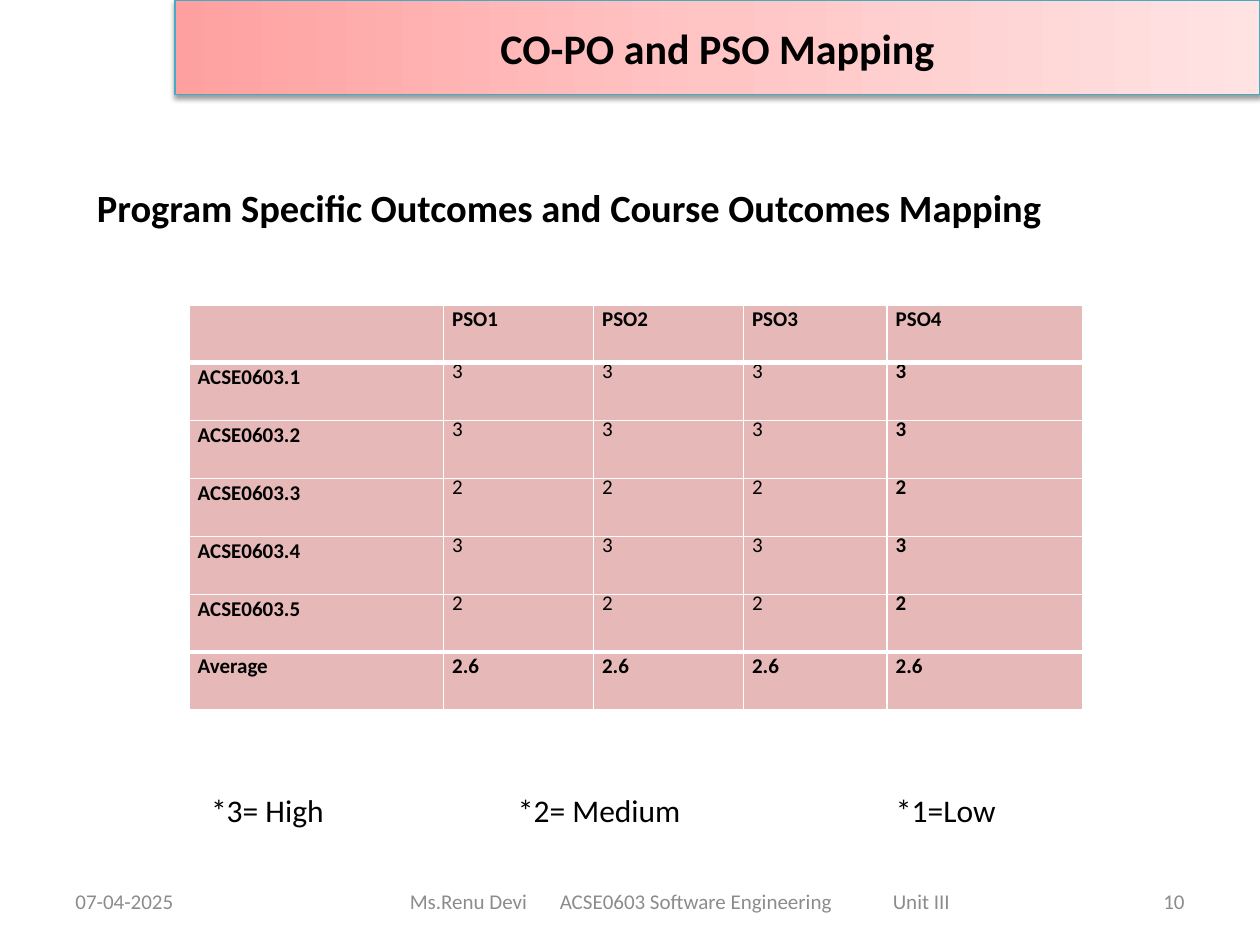
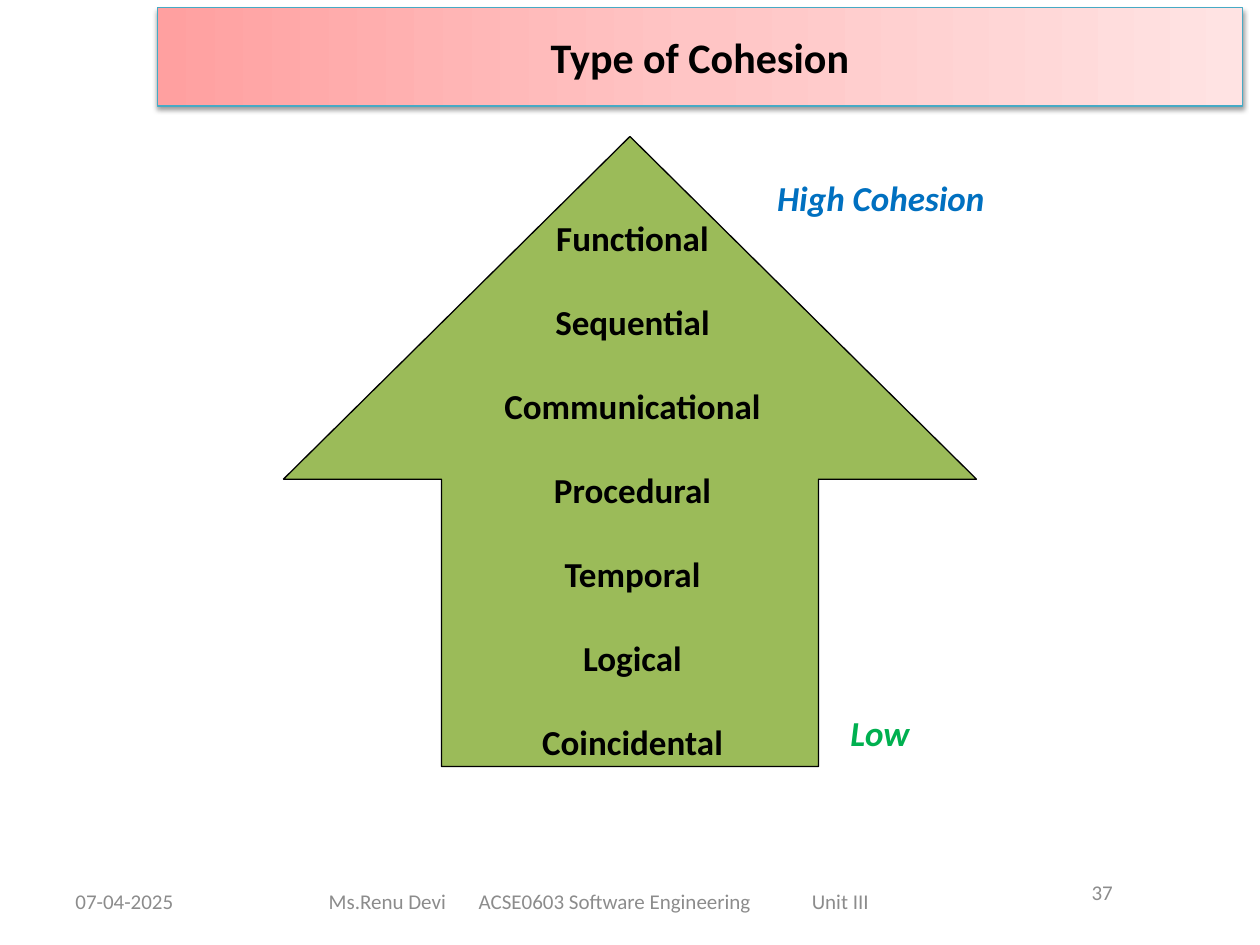
"""Build the outcome mapping and cohesion slides of a software engineering course."""
from lxml.etree import SubElement
from pptx import Presentation
from pptx.dml.color import RGBColor
from pptx.enum.shapes import MSO_SHAPE as Shape
from pptx.enum.text import MSO_ANCHOR as Anchor, MSO_AUTO_SIZE as AutoSize, PP_ALIGN as Align
from pptx.oxml import parse_xml
from pptx.oxml.ns import nsdecls, qn
from pptx.util import Pt

FONT = "Calibri"
COLORS = {
    "text": "000000", "footer": "8C8C8C", "band_line": "46AAC5",
    "cell": "E6B9B8", "grid": "FFFFFF", "arrow": "9BBB59",
    "high": "0070C0", "low": "00B050",
}
BAND_STOPS = [(0, "FFA0A0"), (50, "FFC5C5"), (100, "FFE3E3")]

DATE = "07-04-2025"
COURSE = ["Ms.Renu Devi", "ACSE0603 Software Engineering", "Unit III"]
COURSE_TABS = [85.7, 276]

HEADING = "Program Specific Outcomes and Course Outcomes Mapping"
OUTCOMES = ["", "PSO1", "PSO2", "PSO3", "PSO4"]
LEVELS = [("ACSE0603.1", "3"), ("ACSE0603.2", "3"), ("ACSE0603.3", "2"),
          ("ACSE0603.4", "3"), ("ACSE0603.5", "2"), ("Average", "2.6")]
COLUMN_WIDTHS = [145.4, 85.7, 85.7, 82.1, 111.6]
ROW_HEIGHT = 33.1
LEGEND = ["*3= High", "*2= Medium", "*1=Low"]
LEGEND_TABS = [175.4, 391.4]

COHESION_TYPES = ["Functional", "Sequential", "Communicational", "Procedural",
                  "Temporal", "Logical", "Coincidental"]
COHESION_ENDS = [("High Cohesion", "high", (437, 97.2, 134, 31.7)),
                 ("Low", "low", (478.8, 403.2, 49, 31.7))]


def rgb(name):
    return RGBColor.from_string(COLORS[name])


def place(part, box):
    part.left, part.top, part.width, part.height = map(Pt, box)


def style(paragraph, size, color="text", bold=False, italic=False, align=Align.LEFT):
    paragraph.alignment = align
    for run in paragraph.runs:
        font = run.font
        font.name, font.size, font.bold, font.italic = FONT, Pt(size), bold, italic
        font.color.rgb = rgb(color)


def set_tabs(paragraph, stops):
    tab_list = SubElement(paragraph._p.get_or_add_pPr(), qn("a:tabLst"))
    for stop in stops:
        SubElement(tab_list, qn("a:tab"), pos=str(Pt(stop)), algn="l")


def add_label(slide, text, box, size, tabs=(), anchor=Anchor.MIDDLE, wrap=True, **look):
    label = slide.shapes.add_textbox(*map(Pt, box))
    frame = label.text_frame
    frame.text = text
    frame.word_wrap, frame.vertical_anchor = wrap, anchor
    if tabs:
        set_tabs(frame.paragraphs[0], tabs)
    style(frame.paragraphs[0], size, **look)
    return label


def fill_body(slide, lines, box, size, gap=0, anchor=Anchor.TOP, wrap=True, align=Align.LEFT):
    body = slide.placeholders[1]
    place(body, box)
    frame = body.text_frame
    frame.text = "\n".join(lines)
    frame.auto_size, frame.word_wrap, frame.vertical_anchor = AutoSize.NONE, wrap, anchor
    for index, paragraph in enumerate(frame.paragraphs):
        paragraph.space_before = Pt(gap if index else 0)
        properties = paragraph._p.get_or_add_pPr()
        properties.set("marL", "0")
        properties.set("indent", "0")
        SubElement(properties, qn("a:buNone"))
        style(paragraph, size, bold=True, align=align)
    return body


def add_title_band(slide, text, box):
    band = slide.shapes.title
    place(band, box)
    stops = "".join(f'<a:gs pos="{at * 1000}"><a:srgbClr val="{color}"/></a:gs>'
                    for at, color in BAND_STOPS)
    properties = band._element.spPr
    properties.append(parse_xml(
        f'<a:gradFill {nsdecls("a")} rotWithShape="1"><a:gsLst>{stops}</a:gsLst>'
        '<a:lin ang="0" scaled="0"/></a:gradFill>'))
    band.line.color.rgb = rgb("band_line")
    band.line.width = Pt(0.75)
    properties.append(parse_xml(
        f'<a:effectLst {nsdecls("a")}><a:outerShdw blurRad="{Pt(3.1)}" dist="{Pt(1.6)}" '
        'dir="5400000" rotWithShape="0"><a:srgbClr val="000000"><a:alpha val="38000"/>'
        '</a:srgbClr></a:outerShdw></a:effectLst>'))
    frame = band.text_frame
    frame.text = text
    frame.auto_size, frame.vertical_anchor = AutoSize.NONE, Anchor.MIDDLE
    style(frame.paragraphs[0], 24, bold=True, align=Align.CENTER)


def add_footer(slide, number, course_left, number_box, number_align):
    add_label(slide, DATE, (36, 500.4, 168, 28.8), 12, color="footer")
    add_label(slide, "\t".join(COURSE), (course_left, 500.4, 396, 28.8), 12,
              tabs=COURSE_TABS, color="footer")
    add_label(slide, number, number_box, 12, color="footer", align=number_align)


def start_slide(deck, title, band_box):
    slide = deck.slides.add_slide(deck.slide_layouts[1])
    add_title_band(slide, title, band_box)
    return slide


def set_borders(cell, widths):
    properties = cell._tc.get_or_add_tcPr()
    for side, width in zip("LRTB", widths):
        border = SubElement(properties, qn(f"a:ln{side}"), w=str(Pt(width)))
        paint = SubElement(border, qn("a:solidFill"))
        SubElement(paint, qn("a:srgbClr"), val=COLORS["grid"])


def add_mapping(slide):
    rows = [OUTCOMES] + [[name] + [level] * 4 for name, level in LEVELS]
    last = len(rows) - 1
    mapping = slide.shapes.add_table(
        len(rows), len(OUTCOMES), Pt(108), Pt(174.2),
        Pt(sum(COLUMN_WIDTHS)), Pt(ROW_HEIGHT * len(rows))).table
    mapping.horz_banding = False
    for column, width in zip(mapping.columns, COLUMN_WIDTHS):
        column.width = Pt(width)
    for r, row in enumerate(rows):
        mapping.rows[r].height = Pt(ROW_HEIGHT)
        for c, text in enumerate(row):
            cell = mapping.cell(r, c)
            cell.text = text
            cell.margin_left = Pt(5)
            cell.margin_right = cell.margin_top = cell.margin_bottom = 0
            set_borders(cell, (1, 1, 3 if r in (1, last) else 1,
                               3 if r in (0, last - 1) else 1))
            cell.fill.solid()
            cell.fill.fore_color.rgb = rgb("cell")
            is_level = 0 < r < last and c > 0
            paragraph = cell.text_frame.paragraphs[0]
            paragraph.line_spacing = Pt(12.5) if is_level else 1.07
            style(paragraph, 12, bold=not is_level or c == 4)


def build_mapping_slide(deck):
    slide = start_slide(deck, "CO-PO and PSO Mapping", (100, 0, 620, 54))
    heading = fill_body(slide, [HEADING], (33.8, 101.5, 613.4, 30.2), 22, anchor=Anchor.MIDDLE)
    heading.text_frame.margin_left = Pt(21.6)
    heading.text_frame.margin_bottom = 0
    add_mapping(slide)
    legend = add_label(slide, "\t".join(LEGEND), (72, 448.6, 684 - 72, 28.8), 18,
                       tabs=LEGEND_TABS)
    legend.text_frame.margin_left = Pt(48.6)
    add_footer(slide, "10", 227.1, (516, 500.4, 168, 28.8), Align.RIGHT)


def build_cohesion_slide(deck):
    slide = start_slide(deck, "Type of Cohesion", (90, 4.3, 620, 56.2))
    arrow = slide.shapes.add_shape(Shape.UP_ARROW, Pt(162), Pt(78), Pt(396), Pt(360))
    arrow.adjustments[0] = arrow.adjustments[1] = 0.544
    arrow.shadow.inherit = False
    arrow.fill.solid()
    arrow.fill.fore_color.rgb = rgb("arrow")
    arrow.line.color.rgb = rgb("text")
    arrow.line.width = Pt(0.75)
    types = fill_body(slide, COHESION_TYPES, (269.3, 120.2, 184.3, 322.6), 20, gap=24,
                      wrap=False, align=Align.CENTER)
    slide.shapes._spTree.append(types._element)
    for text, color, box in COHESION_ENDS:
        add_label(slide, text, box, 20, anchor=Anchor.TOP, wrap=False,
                  color=color, bold=True, italic=True)
    add_footer(slide, "37", 180.8, (545.8, 495.4, 168, 28.8), Align.CENTER)


def main():
    deck = Presentation()
    deck.slide_width, deck.slide_height = Pt(720), Pt(540)
    build_mapping_slide(deck)
    build_cohesion_slide(deck)
    deck.save("out.pptx")


if __name__ == "__main__":
    main()
